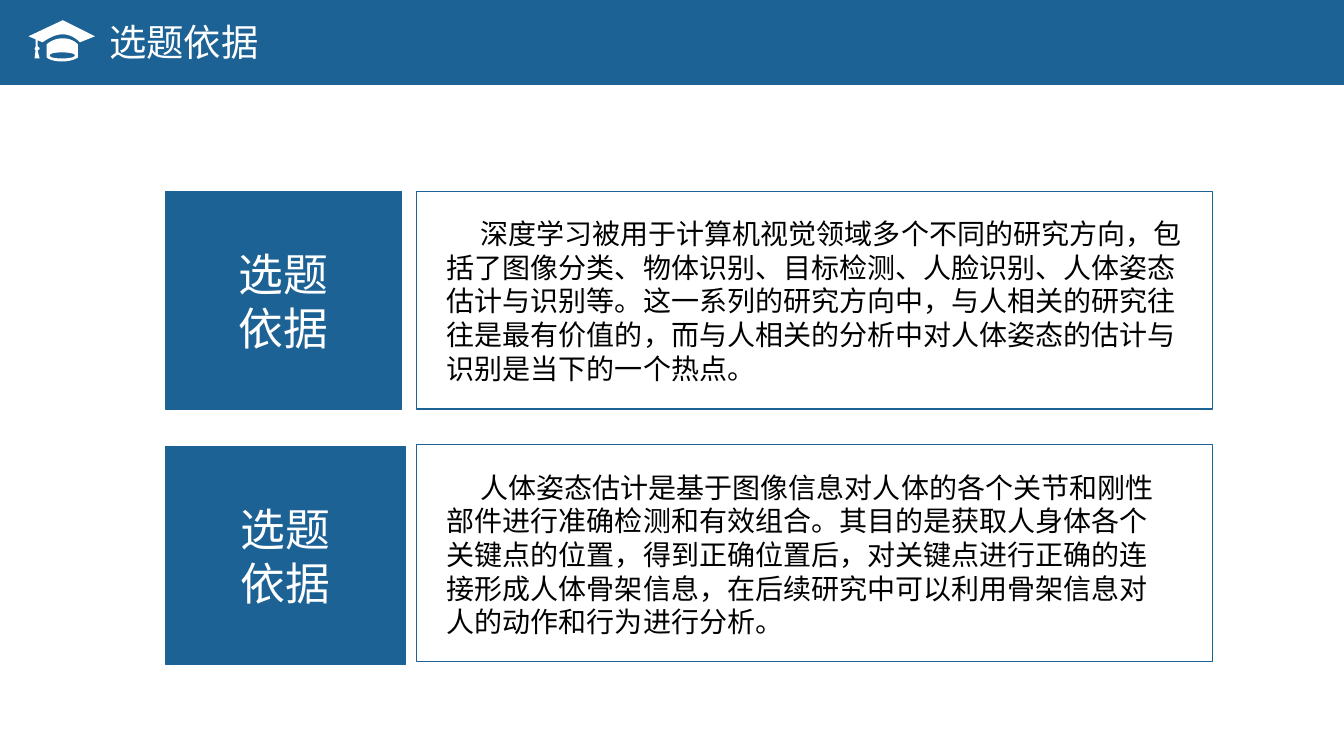
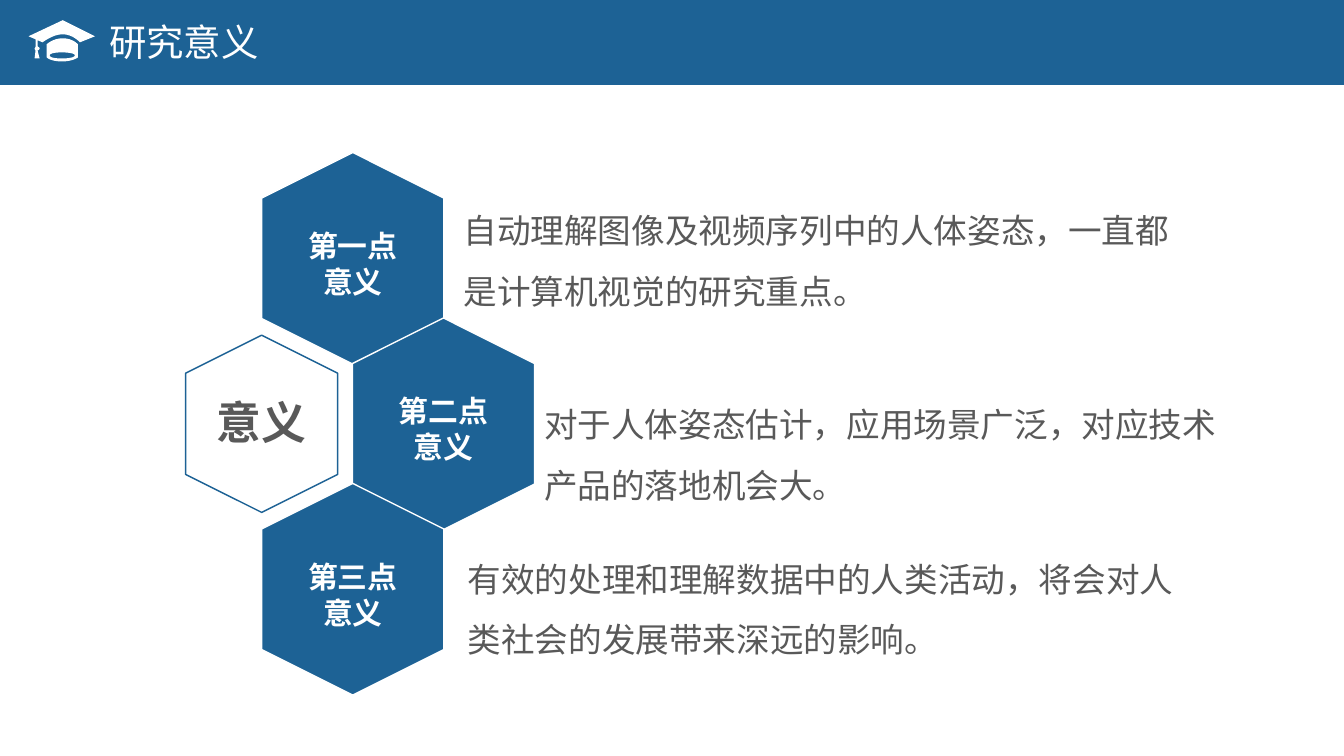
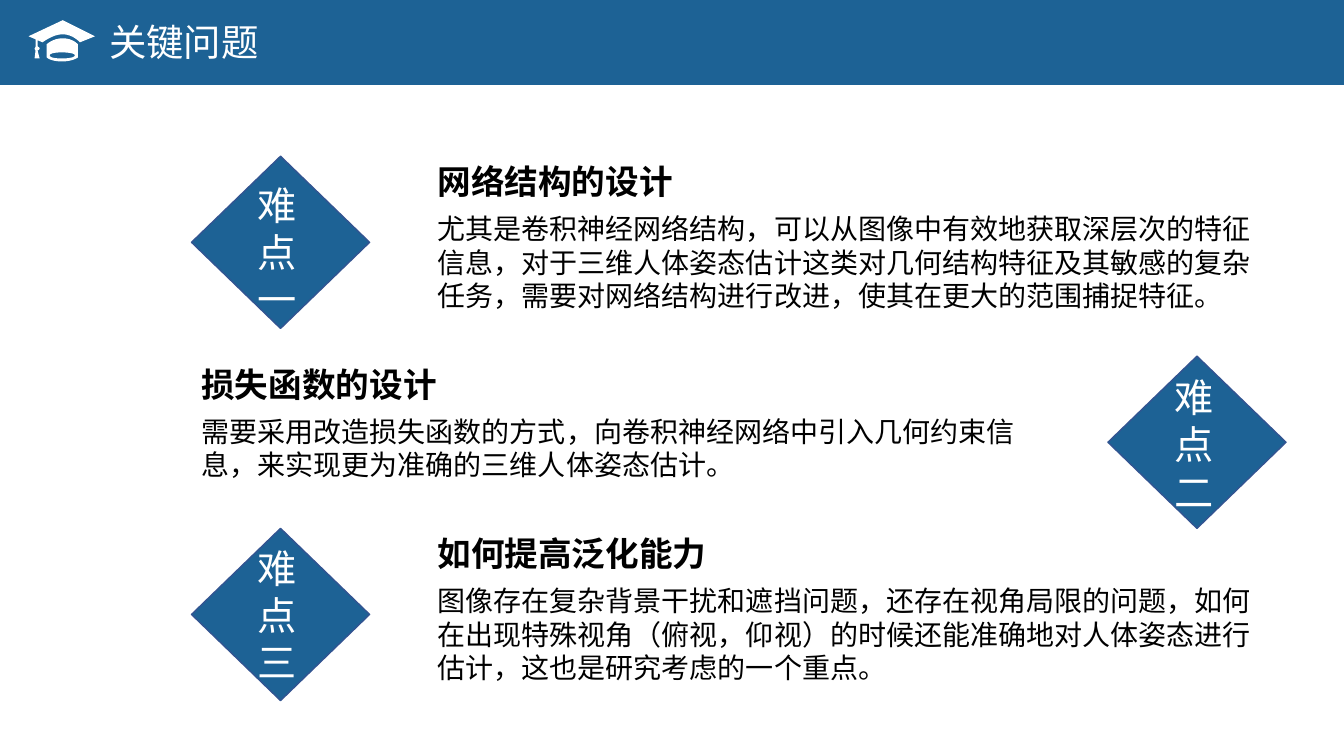
from dataclasses import dataclass
from typing import Optional, Union

from lxml.etree import SubElement
from pptx import Presentation
from pptx.dml.color import RGBColor
from pptx.enum.shapes import MSO_SHAPE
from pptx.enum.text import MSO_ANCHOR, PP_ALIGN
from pptx.oxml.ns import qn
from pptx.shapes.autoshape import Shape
from pptx.shapes.group import GroupShape
from pptx.slide import Slide
from pptx.util import Inches, Pt

COLUMNS, ROWS = 16, 9
CELL = Inches(7.5) / ROWS
Canvas = Union[Slide, GroupShape]
Point = tuple[float, float]


@dataclass(frozen=True)
class Theme:
    """Colours, font and type sizes of the deck."""
    blue: str = "1D6295"
    edge: str = "325491"
    white: str = "FFFFFF"
    black: str = "000000"
    grey: str = "595959"
    font: str = "Noto Sans CJK SC"
    title: float = 26.7
    display: float = 32
    marker: float = 28
    heading: float = 24
    label: float = 21.3
    body: float = 20


THEME = Theme()


@dataclass(frozen=True)
class Box:
    """A rectangle in grid columns and rows."""
    left: float
    top: float
    width: float
    height: float

    def emu(self) -> tuple[int, ...]:
        """Return left, top, width and height in slide units."""
        return tuple(round(length * CELL)
                     for length in (self.left, self.top, self.width, self.height))


@dataclass(frozen=True)
class Basis:
    """A blue tile beside a framed paragraph."""
    tile: Box
    frame: Box
    body: Box
    text: str


@dataclass(frozen=True)
class Meaning:
    """A hexagon with its label and explanation."""
    label: str
    column: float
    body: Box
    text: str


@dataclass(frozen=True)
class Problem:
    """A numbered diamond with a heading and a paragraph."""
    marker: str
    diamond_left: float
    diamond_top: float
    marker_top: float
    text_left: float
    heading_top: float
    heading: str
    text: str


def write(shape: Shape, text: str, *, size: float, color: str = THEME.black,
          bold: bool = False, align: PP_ALIGN = PP_ALIGN.LEFT,
          anchor: MSO_ANCHOR = MSO_ANCHOR.TOP, spacing: Optional[float] = None,
          before: float = 0, indent: float = 0) -> None:
    """Write one paragraph per line of text into a shape."""
    frame = shape.text_frame
    frame.word_wrap = True
    frame.vertical_anchor = anchor
    for index, line in enumerate(text.split("\n")):
        para = frame.add_paragraph() if index else frame.paragraphs[0]
        para.alignment = align
        para.space_before = Pt(before)
        if spacing:
            para.line_spacing = spacing
        if indent:
            para._p.get_or_add_pPr().set("indent", str(round(indent * CELL)))
        span = para.add_run()
        span.text = line
        span.font.size = Pt(size)
        span.font.bold = bold
        span.font.color.rgb = RGBColor.from_string(color)
        span.font.name = THEME.font
        SubElement(span._r.get_or_add_rPr(), qn("a:ea"), typeface=THEME.font)


def paint(shape: Shape, fill: Optional[str], line: Optional[str] = None,
          weight: float = 1) -> None:
    """Set fill and outline, and drop the shadow."""
    shape.shadow.inherit = False
    if fill:
        shape.fill.solid()
        shape.fill.fore_color.rgb = RGBColor.from_string(fill)
    else:
        shape.fill.background()
    if line:
        shape.line.color.rgb = RGBColor.from_string(line)
        shape.line.width = Pt(weight)
    else:
        shape.line.fill.background()


def add_block(canvas: Canvas, kind: MSO_SHAPE, box: Box, fill: Optional[str],
              line: Optional[str] = None, weight: float = 1) -> Shape:
    """Add a preset shape."""
    shape = canvas.shapes.add_shape(kind, *box.emu())
    paint(shape, fill, line, weight)
    return shape


def add_hexagon(canvas: Canvas, box: Box, fill: Optional[str], line: str) -> None:
    """Add a hexagon that stands on its point."""
    add_block(canvas, MSO_SHAPE.HEXAGON, box, fill, line).rotation = 270


def add_text(canvas: Canvas, box: Box, text: str, **style) -> None:
    """Add a text box; style goes to write."""
    write(canvas.shapes.add_textbox(*box.emu()), text, **style)


# Each contour is a start point, then steps: one point is a line, three a curve.
CAP_CONTOURS = (
    ((51, 22), (
        ((51, 22), (44, 14), (34, 14)), ((24, 14), (14, 22), (14, 22)),
        ((9, 20),), ((9, 26),),
        ((10, 27), (11, 27), (11, 28)), ((11, 29), (10, 30), (9, 30)),
        ((11, 38),), ((6, 38),), ((7, 30),),
        ((7, 30), (6, 29), (6, 28)), ((6, 28), (7, 27), (7, 26)),
        ((7, 19),), ((0, 16),), ((34, 0),), ((66, 16),))),
    ((34, 18), (
        ((44, 18), (49, 24), (49, 24)), ((49, 37),),
        ((49, 37), (44, 41), (33, 41)), ((22, 41), (18, 37), (18, 37)),
        ((18, 24),), ((18, 24), (24, 18), (34, 18)))),
    ((33, 38), (
        ((40, 38), (46, 37), (46, 35)), ((46, 33), (40, 32), (33, 32)),
        ((26, 32), (21, 33), (21, 35)), ((21, 37), (26, 38), (33, 38)))),
)
CAP_LEFT, CAP_TOP, CAP_UNIT = 0.34, 0.24, 0.012


def curve(start: Point, first: Point, second: Point, end: Point,
          steps: int = 8) -> list[Point]:
    """Sample a cubic curve, without its start point."""
    points = []
    for step in range(1, steps + 1):
        t = step / steps
        weights = ((1 - t) ** 3, 3 * t * (1 - t) ** 2, 3 * t * t * (1 - t), t ** 3)
        points.append(tuple(sum(weight * value for weight, value in zip(weights, axis))
                            for axis in zip(start, first, second, end)))
    return points


def add_cap(page: Slide) -> None:
    """Draw the graduation cap of the header."""
    def place(point: Point) -> tuple[int, int]:
        """Turn a point of the cap into slide units."""
        return (round((CAP_LEFT + point[0] * CAP_UNIT) * CELL),
                round((CAP_TOP + point[1] * CAP_UNIT) * CELL))

    builder = page.shapes.build_freeform(*place(CAP_CONTOURS[0][0]))
    for index, (start, steps) in enumerate(CAP_CONTOURS):
        if index:
            builder.move_to(*place(start))
        points, current = [], start
        for step in steps:
            points += curve(current, *step) if len(step) == 3 else step
            current = step[-1]
        builder.add_line_segments([place(point) for point in points], close=True)
    paint(builder.convert_to_shape(), THEME.white)


def add_page(deck: Presentation, title: str) -> Slide:
    """Add a blank page with the header band, title and cap."""
    page = deck.slides.add_slide(deck.slide_layouts[6])
    add_block(page, MSO_SHAPE.RECTANGLE, Box(0, 0, COLUMNS, 1.01), THEME.blue)
    add_text(page, Box(1.18, 0.17, 5.06, 0.66), title,
             size=THEME.title, color=THEME.white)
    add_cap(page)
    return page


BASES = (
    Basis(Box(1.97, 2.28, 2.81, 2.59), Box(4.96, 2.28, 9.47, 2.59),
          Box(5.2, 2.52, 8.99, 2.14),
          "深度学习被用于计算机视觉领域多个不同的研究方向，包括了图像分类、物体识别、"
          "目标检测、人脸识别、人体姿态估计与识别等。这一系列的研究方向中，与人相关的"
          "研究往往是最有价值的，而与人相关的分析中对人体姿态的估计与识别是当下的一个热点。"),
    Basis(Box(1.97, 5.32, 2.86, 2.59), Box(4.96, 5.29, 9.47, 2.59),
          Box(5.2, 5.54, 8.87, 2.14),
          "人体姿态估计是基于图像信息对人体的各个关节和刚性部件进行准确检测和有效组合。"
          "其目的是获取人身体各个关键点的位置，得到正确位置后，对关键点进行正确的连接形成"
          "人体骨架信息，在后续研究中可以利用骨架信息对人的动作和行为进行分析。"),
)

MEANINGS = (
    Meaning("第一点\n意义", 2.94, Box(5.4, 2.2, 8.72, 1.28),
            "自动理解图像及视频序列中的人体姿态，一直都是计算机视觉的研究重点。"),
    Meaning("第二点\n意义", 4.02, Box(6.36, 4.51, 8.32, 1.32),
            "对于人体姿态估计，应用场景广泛，对应技术产品的落地机会大。"),
    Meaning("第三点\n意义", 2.94, Box(5.45, 6.35, 8.72, 1.28),
            "有效的处理和理解数据中的人类活动，将会对人类社会的发展带来深远的影响。"),
)
HEXAGON_TOP, HEXAGON_STEP = 1.99, 1.97

PROBLEMS = (
    Problem("难点 一", 2.28, 1.86, 2.1, 5.09, 1.86, "网络结构的设计",
            "尤其是卷积神经网络结构，可以从图像中有效地获取深层次的特征信息，对于三维人体"
            "姿态估计这类对几何结构特征及其敏感的复杂任务，需要对网络结构进行改进，使其在"
            "更大的范围捕捉特征。"),
    Problem("难点 二", 13.19, 4.24, 4.39, 2.28, 4.27, "损失函数的设计",
            "需要采用改造损失函数的方式，向卷积神经网络中引入几何约束信息，来实现更为准确的"
            "三维人体姿态估计。"),
    Problem("难点 三", 2.28, 6.29, 6.42, 5.09, 6.29, "如何提高泛化能力",
            "图像存在复杂背景干扰和遮挡问题，还存在视角局限的问题，如何在出现特殊视角"
            "（俯视，仰视）的时候还能准确地对人体姿态进行估计，这也是研究考虑的一个重点。"),
)


def build_bases(deck: Presentation) -> None:
    """Build the page on the basis of the topic."""
    page = add_page(deck, "选题依据")
    for basis in BASES:
        tile = add_block(page, MSO_SHAPE.RECTANGLE, basis.tile,
                         THEME.blue, THEME.blue, 0.75)
        write(tile, "选题\n依据", size=THEME.display, color=THEME.white,
              align=PP_ALIGN.CENTER, anchor=MSO_ANCHOR.MIDDLE)
        add_block(page, MSO_SHAPE.RECTANGLE, basis.frame, None, THEME.blue, 0.75)
        add_text(page, basis.body, basis.text, size=THEME.body, indent=0.4)


def build_meanings(deck: Presentation) -> None:
    """Build the page on the meaning of the research."""
    page = add_page(deck, "研究意义")
    add_hexagon(page, Box(2.06, 4.14, 2.11, 1.81), None, THEME.blue)
    add_text(page, Box(2.39, 4.64, 1.45, 0.77), "意义", size=THEME.display,
             color=THEME.grey, bold=True, align=PP_ALIGN.CENTER)
    for index, meaning in enumerate(MEANINGS):
        top = HEXAGON_TOP + index * HEXAGON_STEP
        group = page.shapes.add_group_shape()
        add_hexagon(group, Box(meaning.column, top, 2.52, 2.17),
                    THEME.blue, THEME.white)
        label = add_block(group, MSO_SHAPE.RECTANGLE,
                          Box(meaning.column + 0.34, top + 0.66, 1.84, 0.98), THEME.blue)
        write(label, meaning.label, size=THEME.label, color=THEME.white,
              bold=True, align=PP_ALIGN.CENTER)
        add_text(page, meaning.body, meaning.text, size=THEME.heading,
                 color=THEME.grey, spacing=1.5, before=4)


def build_problems(deck: Presentation) -> None:
    """Build the page on the key problems."""
    page = add_page(deck, "关键问题")
    for problem in PROBLEMS:
        add_block(page, MSO_SHAPE.DIAMOND,
                  Box(problem.diamond_left, problem.diamond_top, 2.12, 2.05),
                  THEME.blue, THEME.edge)
        add_text(page, Box(problem.diamond_left + 0.67, problem.marker_top, 0.77, 1.81),
                 problem.marker, size=THEME.marker, color=THEME.white)
        add_text(page, Box(problem.text_left, problem.heading_top, 4.32, 0.6),
                 problem.heading, size=THEME.heading, bold=True)
        add_text(page, Box(problem.text_left, problem.heading_top + 0.6, 10.04, 1.33),
                 problem.text, size=THEME.body)


def main() -> None:
    """Build and save the deck."""
    deck = Presentation()
    deck.slide_width = round(COLUMNS * CELL)
    deck.slide_height = round(ROWS * CELL)
    for build in (build_bases, build_meanings, build_problems):
        build(deck)
    deck.save("out.pptx")


main()
